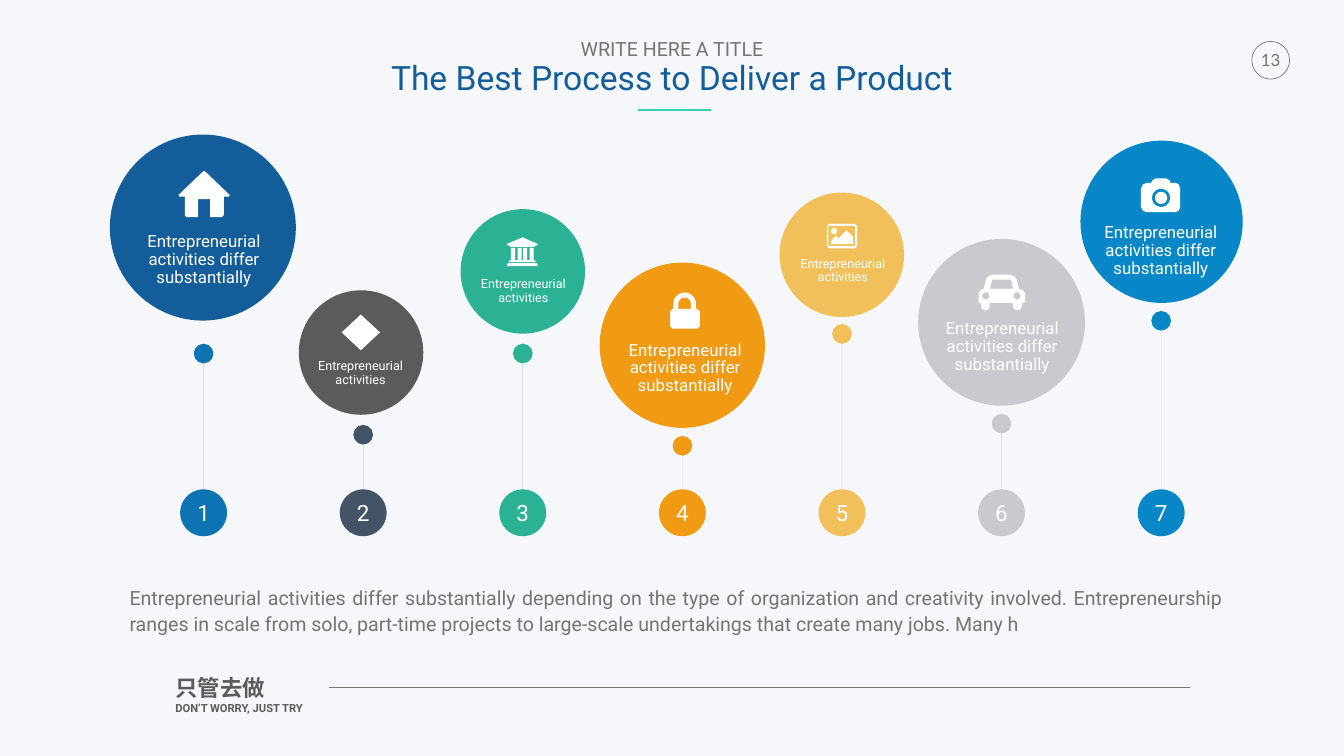
from dataclasses import dataclass
from math import cos, radians, sin

from lxml import etree
from pptx import Presentation
from pptx.dml.color import RGBColor
from pptx.enum import shapes, text
from pptx.oxml import ns
from pptx.util import Inches, Pt

GRAY, NAVY, WHITE = "737572", "135D9A", "FFFFFF"
CENTER = text.PP_ALIGN.CENTER
TOP, MIDDLE = text.MSO_ANCHOR.TOP, text.MSO_ANCHOR.MIDDLE
FIRST_AXIS, AXIS_GAP = 4.04, 3.167
BADGE_TOP, BADGE_SIZE, PIN_SIZE = 9.71, 0.93, 0.39
LONG_LABEL = "Entrepreneurial activities differ substantially"
SHORT_LABEL = "Entrepreneurial activities"


def arc(x, y, radius, start=0, end=360):
    return [(x + radius * cos(radians(a)), y + radius * sin(radians(a)))
            for a in range(start, end + 1, 10)]


# Icon outlines in hundredths of an inch; inner outlines cut holes.
HOUSE = [[(102, 48), (55, 3), (51, 0), (47, 3), (0, 48), (2, 51), (13, 51),
          (13, 88), (16, 92), (39, 92), (39, 56), (63, 56), (63, 92),
          (86, 92), (90, 88), (90, 51), (100, 51)]]
COLUMNS = [(x, y) for left, right in ((8, 16), (21, 29), (32, 40), (45, 53))
           for x, y in ((left, 45), (left, 21), (right, 21), (right, 45))]
BANK = [[(61, 13), (61, 16), (57, 16), (54, 19), (7, 19), (4, 16), (0, 16),
         (0, 13), (31, 0)],
        [(61, 54), (61, 57), (0, 57), (0, 54), (2, 51), (59, 51)],
        [(4, 49), (4, 47), (7, 45), *COLUMNS, (54, 45), (57, 47), (57, 49)]]
LOCK = [[(59, 67), (54, 72), (4, 72), (0, 67), (0, 38), (4, 33), (6, 33),
         *arc(28.5, 23, 22.5, 180, 360), (51, 33), (53, 33), (59, 38)],
        [(16, 33), *arc(28.5, 23, 12.5, 180, 360), (41, 33)]]
PHOTO = [[(60, 44), (55, 49), (4, 49), (0, 44), (0, 5), (4, 0), (55, 0), (60, 5)],
         [(3, 4), (56, 4), (56, 44), (3, 44)],
         arc(14, 14.5, 6),
         [(52, 40), (8, 40), (8, 35), (17, 24), (23, 29), (39, 13), (52, 26)]]
CAR = [[(92, 55), (89, 56), (86, 56), *arc(77, 62, 8.5, 0, 180), (68, 56),
        (22, 56), *arc(13.5, 62, 8.5, 0, 180), (5, 56), (1, 56), (0, 55),
        (0, 37), (3, 31), (9, 28), (10, 28), (15, 9), (19, 3), (28, 0),
        (62, 0), (71, 3), (75, 9), (80, 28), (81, 28), (88, 31), (92, 37)],
       arc(14, 42, 7), arc(76, 42, 7),
       [(68, 28), (65, 11), (62, 10), (28, 10), (27, 11), (22, 28)]]
CAMERA = [[(78, 20), (78, 57), (75, 64), (69, 67), (11, 67), (4, 64), (0, 57),
           (0, 20), (4, 12), (11, 9), (20, 9), (23, 4), (29, 0), (50, 0),
           (57, 4), (59, 9), (69, 9), (75, 12)],
          arc(40, 38.5, 18), arc(40, 38.5, 12)]
DIAMOND = [[(38, 0), (76, 35.5), (38, 71), (0, 35.5)]]


@dataclass
class Step:
    color: str
    ball_color: str
    pin_top: float
    ball: tuple  # left, top, diameter
    icon: list
    icon_at: tuple
    label_at: tuple
    is_long: bool


STEPS = [
    Step("0D73B2", NAVY, 6.82, (2.18, 2.67, 3.69), HOUSE, (3.54, 3.39), (2.29, 4.53), True),
    Step("445468", "5B5B5B", 8.43, (5.93, 5.76, 2.47), DIAMOND, (6.78, 6.24), (5.96, 7.04), False),
    Step("2BB294", "2BB294", 6.82, (9.14, 4.15, 2.47), BANK, (10.06, 4.71), (9.19, 5.42), False),
    Step("F19A14", "F19A14", 8.65, (11.9, 5.21, 3.28), LOCK, (13.3, 5.8), (11.84, 6.68), True),
    Step("F1C05A", "F1C05A", 6.43, (15.47, 3.82, 2.47), PHOTO, (16.41, 4.44), (15.53, 5.01), False),
    Step("CAC9D0", "CAC9D0", 8.21, (18.22, 4.74, 3.31), CAR, (19.42, 5.45), (18.13, 6.26), True),
    Step("0787C7", "0787C7", 6.17, (21.44, 2.79, 3.22), CAMERA, (22.64, 3.54), (21.28, 4.34), True),
]


def rgb(value):
    return RGBColor.from_string(value)


def write(shape, lines, inset=0.0, anchor=TOP, align=None, spacing=None, wrap=True):
    """Fill a shape with lines of (wording, size, color, font, bold)."""
    frame = shape.text_frame
    frame.text = "\n".join(line[0] for line in lines)
    frame.word_wrap, frame.vertical_anchor = wrap, anchor
    frame.auto_size = text.MSO_AUTO_SIZE.NONE
    frame.margin_left = frame.margin_right = Inches(inset)
    frame.margin_top = frame.margin_bottom = Inches(inset)
    for para, (_, size, color, font, bold) in zip(frame.paragraphs, lines):
        para.alignment, para.line_spacing = align, spacing
        para.space_before = Pt(0)
        for span in para.runs:
            span.font.size, span.font.name, span.font.bold = Pt(size), font, bold
            span.font.color.rgb = rgb(color)


def add_text(page, place, lines, **layout):
    box = page.shapes.add_textbox(*map(Inches, place))
    write(box, lines, **layout)


def add_circle(page, left, top, size, fill=None, outline=None):
    circle = page.shapes.add_shape(shapes.MSO_SHAPE.OVAL, Inches(left), Inches(top),
                                   Inches(size), Inches(size))
    circle.shadow.inherit = False
    if fill:
        circle.fill.solid()
        circle.fill.fore_color.rgb = rgb(fill)
    else:
        circle.fill.background()
    if outline:
        circle.line.color.rgb = rgb(outline)
        circle.line.width = Pt(1)
    else:
        circle.line.fill.background()
    return circle


def add_line(page, start, end, color, width, opacity=None):
    line = page.shapes.add_connector(shapes.MSO_CONNECTOR.STRAIGHT,
                                     *map(Inches, (*start, *end)))
    line.line.color.rgb = rgb(color)
    line.line.width = Pt(width)
    properties = line._element.spPr
    if opacity:
        shade = properties.find(".//" + ns.qn("a:srgbClr"))
        etree.SubElement(shade, ns.qn("a:alpha"), val=str(opacity * 1000))
    etree.SubElement(properties, ns.qn("a:effectLst"))


def add_icon(page, outlines, place):
    scaled = [[(x * 100, y * 100) for x, y in outline] for outline in outlines]
    builder = page.shapes.build_freeform(*scaled[0][0], scale=Inches(1) / 10000)
    builder.add_line_segments(scaled[0][1:])
    for outline in scaled[1:]:
        builder.move_to(*outline[0])
        builder.add_line_segments(outline[1:])
    icon = builder.convert_to_shape(*map(Inches, place))
    icon.shadow.inherit = False
    icon.fill.solid()
    icon.fill.fore_color.rgb = rgb(WHITE)
    icon.line.fill.background()


def add_step(page, number, step):
    axis = FIRST_AXIS + AXIS_GAP * (number - 1)
    badge = add_circle(page, axis - BADGE_SIZE / 2, BADGE_TOP, BADGE_SIZE, step.color)
    write(badge, [(str(number), 32, WHITE, "Roboto", False)], anchor=MIDDLE, align=CENTER)
    add_circle(page, axis - PIN_SIZE / 2, step.pin_top, PIN_SIZE, step.color)
    add_line(page, (axis, BADGE_TOP), (axis, step.pin_top + PIN_SIZE), "4B4C4A", 0.25, 40)
    add_circle(page, *step.ball, step.ball_color)
    add_icon(page, step.icon, step.icon_at)
    label, size, extent = ((LONG_LABEL, 24, (3.51, 1.32)) if step.is_long
                           else (SHORT_LABEL, 18, (2.39, 0.78)))
    add_text(page, (*step.label_at, *extent), [(label, size, WHITE, "Roboto", False)],
             inset=0.1, align=CENTER, spacing=0.89)


def add_title(page):
    title = page.shapes.title
    title.left, title.top, title.width, title.height = map(Inches, (7.63, 0.74, 11.41, 1.33))
    write(title, [("WRITE HERE A TITLE", 28, GRAY, "Roboto", False),
                  ("The Best Process to Deliver a Product", 48, NAVY, "Roboto", False)],
          inset=0.05, align=CENTER, spacing=0.9, wrap=False)
    add_line(page, (14.11, 2.18), (12.67, 2.18), "33D1AD", 3)


def add_frame(page):
    """Add the page number and the footer."""
    ring = add_circle(page, 24.84, 0.82, 0.75, outline=GRAY)
    write(ring, [("13", 24, GRAY, "Lato", False)], anchor=MIDDLE, align=CENTER, wrap=False)
    add_text(page, (3.43, 13.33, 3.99, 0.99),
             [("只管去做", 32, "5B5B5B", "Roboto", True),
              ("DON’T WORRY, JUST TRY", 16, "5B5B5B", "Roboto", True)], inset=0.05)
    add_line(page, (6.52, 13.64), (23.62, 13.64), GRAY, 0.25)


def main():
    deck = Presentation()
    deck.slide_width, deck.slide_height = Inches(26.67), Inches(15)
    page = deck.slides.add_slide(deck.slide_layouts[5])
    page.background.fill.solid()
    page.background.fill.fore_color.rgb = rgb("F6F7FA")
    add_frame(page)
    add_title(page)
    for number, step in enumerate(STEPS, 1):
        add_step(page, number, step)
    add_text(page, (2.57, 11.59, 21.68, 0.99),
             [("Entrepreneurial activities differ substantially depending on the type of "
               "organization and creativity involved. Entrepreneurship ranges in scale from "
               "solo, part-time projects to large-scale undertakings that create many jobs. "
               "Many h", 28, GRAY, "Roboto", False)],
             anchor=MIDDLE, align=text.PP_ALIGN.JUSTIFY, spacing=1.1)
    deck.save("out.pptx")


if __name__ == "__main__":
    main()
